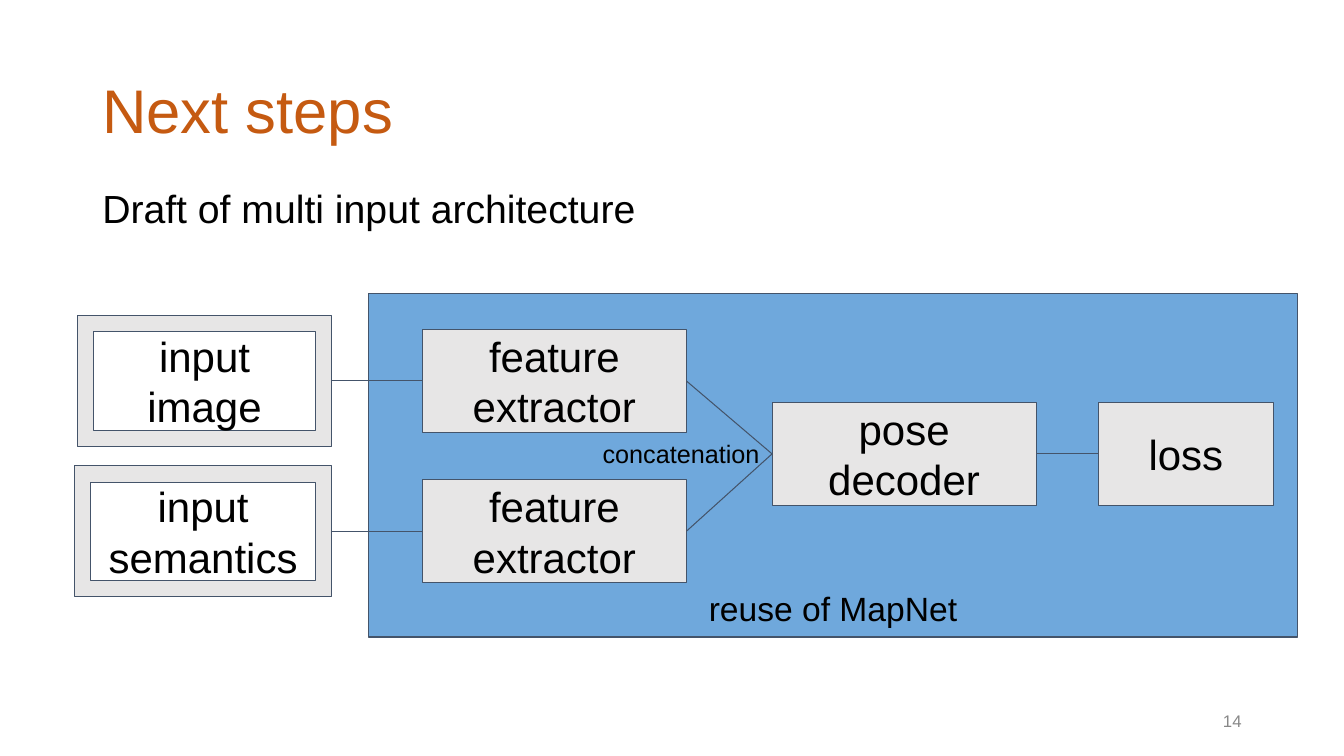
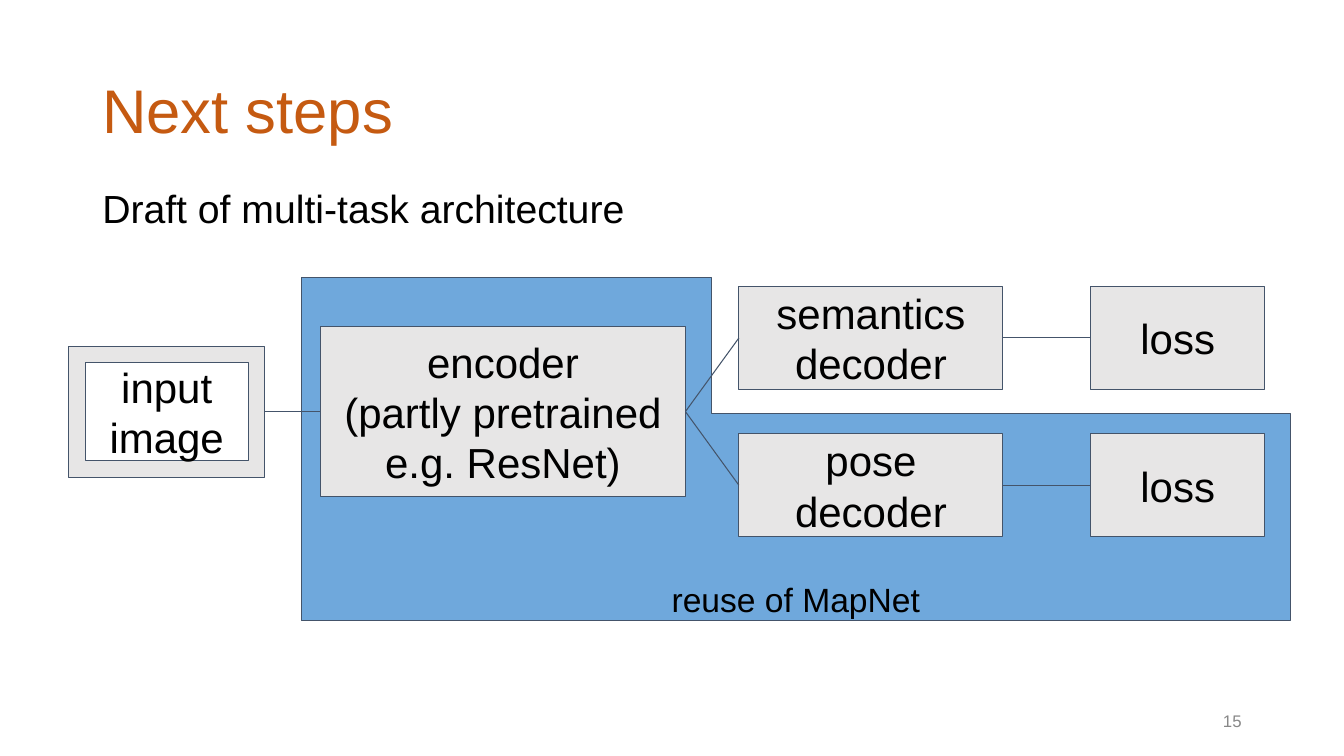
from lxml.etree import SubElement
from pptx import Presentation
from pptx.dml.color import RGBColor
from pptx.enum.shapes import MSO_CONNECTOR, MSO_SHAPE
from pptx.enum.text import MSO_ANCHOR, PP_ALIGN
from pptx.oxml.ns import qn
from pptx.util import Pt

# Shared style
FONT = "Arial"
BLACK, ORANGE, GREY = "000000", "C55A11", "888888"
BLUE, PALE, LINE = "6FA8DC", "E7E6E6", "44546A"
NODE_W, LOSS_W, NODE_H, INPUT_H = 188.6, 124.6, 73.4, 93.6
LEFT, RIGHT = 1, 3


def rgb(value):
    return RGBColor.from_string(value)


def write(sp, text, size, color=BLACK, align=PP_ALIGN.LEFT,
          anchor=MSO_ANCHOR.MIDDLE, pad=(7.2, 3.6), spacing=None, bottom=None):
    tf = sp.text_frame
    tf.word_wrap = True
    tf.vertical_anchor = anchor
    tf.margin_left = tf.margin_right = Pt(pad[0])
    tf.margin_top = Pt(pad[1])
    tf.margin_bottom = Pt(pad[1] if bottom is None else bottom)
    for i, line in enumerate(text.split("\n")):
        p = tf.paragraphs[0] if i == 0 else tf.add_paragraph()
        p.alignment = align
        if spacing:
            p.line_spacing = spacing
        r = p.add_run()
        r.text = line
        r.font.name, r.font.size = FONT, Pt(size)
        r.font.color.rgb = rgb(color)


def text_box(slide, x, y, w, h, text, size, **style):
    sp = slide.shapes.add_textbox(Pt(x), Pt(y), Pt(w), Pt(h))
    write(sp, text, size, **style)


def shape(slide, kind, x, y, w, h, fill, adjustments=()):
    sp = slide.shapes.add_shape(kind, Pt(x), Pt(y), Pt(w), Pt(h))
    sp.shadow.inherit = False
    sp.fill.solid()
    sp.fill.fore_color.rgb = rgb(fill)
    sp.line.color.rgb = rgb(LINE)
    sp.line.width = Pt(0.75)
    for i, value in enumerate(adjustments):
        sp.adjustments[i] = value
    return sp


def node(slide, x, cy, text, w=NODE_W, h=NODE_H, kind=MSO_SHAPE.RECTANGLE):
    """Labelled block, centred vertically on cy."""
    sp = shape(slide, kind, x, cy - h / 2, w, h, PALE)
    write(sp, text, 30, align=PP_ALIGN.CENTER, pad=(7.2, 7.2))
    return sp


def input_node(slide, right, cy, text, w):
    return node(slide, right - w, cy, text, w, INPUT_H, MSO_SHAPE.FRAME)


def loss_node(slide, x, cy):
    return node(slide, x, cy, "loss", LOSS_W)


def panel(slide, kind, x, y, w, h, bottom, adjustments=()):
    sp = shape(slide, kind, x, y, w, h, BLUE, adjustments)
    write(sp, "reuse of MapNet", 24, align=PP_ALIGN.CENTER,
          anchor=MSO_ANCHOR.BOTTOM, bottom=bottom)


def link(slide, start, end):
    """Line from the right side of one block to the left side of the next."""
    cx = slide.shapes.add_connector(MSO_CONNECTOR.STRAIGHT, 0, 0, 0, 0)
    cx.begin_connect(start, RIGHT)
    cx.end_connect(end, LEFT)
    cx.line.color.rgb = rgb(LINE)
    cx.line.width = Pt(0.75)
    SubElement(cx._element.spPr, qn("a:effectLst"))


def base_slide(prs, subtitle, number):
    slide = prs.slides.add_slide(prs.slide_layouts[6])
    text_box(slide, 66, 28.8, 828, 104.4, "Next steps", 44,
             color=ORANGE, spacing=0.9)
    text_box(slide, 66, 131.8, 828, 36, subtitle, 28,
             anchor=MSO_ANCHOR.TOP, spacing=0.9)
    text_box(slide, 678, 500.4, 216, 28.8, str(number), 12,
             color=GREY, align=PP_ALIGN.RIGHT)
    return slide


def multi_input(slide, x, y, w, h):
    panel(slide, MSO_SHAPE.RECTANGLE, x, y, w, h, 6)
    # Shared decoder and loss
    mid = y + 114.7
    pose = node(slide, x + 288, mid, "pose decoder")
    link(slide, pose, loss_node(slide, x + 521.3, mid))
    # One branch per input
    branches = (("input\nimage", 181.5, 62.6), ("input\nsemantics", 183.6, 170))
    for text, width, dy in branches:
        source = input_node(slide, x - 26.6, y + dy, text, width)
        extractor = node(slide, x + 38.2, y + dy, "feature extractor")
        link(slide, source, extractor)
        link(slide, extractor, pose)
    text_box(slide, x + 167, mid - 11, 116, 22, "concatenation", 18, pad=(0, 0))


def multi_task(slide, x, y, w, h):
    panel(slide, MSO_SHAPE.CORNER, x, y, w, h, 1, (0.604, 1.192))
    # Input and encoder
    mid = y + 96
    source = input_node(slide, x - 26.3, mid, "input\nimage", 139.7)
    encoder = node(slide, x + 13.7, mid,
                   "encoder\n(partly pretrained\ne.g. ResNet)", 260.6, 121)
    link(slide, source, encoder)
    # One branch per task
    for text, dy in (("semantics decoder", -52.6), ("pose decoder", 52.6)):
        decoder = node(slide, x + 312.5, mid + dy, text)
        link(slide, encoder, decoder)
        link(slide, decoder, loss_node(slide, x + 563.7, mid + dy))


def main():
    prs = Presentation()
    prs.slide_width, prs.slide_height = Pt(960), Pt(540)
    multi_input(base_slide(prs, "Draft of multi input architecture", 14),
                263.5, 209.5, 663, 245.5)
    multi_task(base_slide(prs, "Draft of multi-task architecture", 15),
               215.3, 198, 706.3, 245.5)
    prs.save("out.pptx")


if __name__ == "__main__":
    main()
